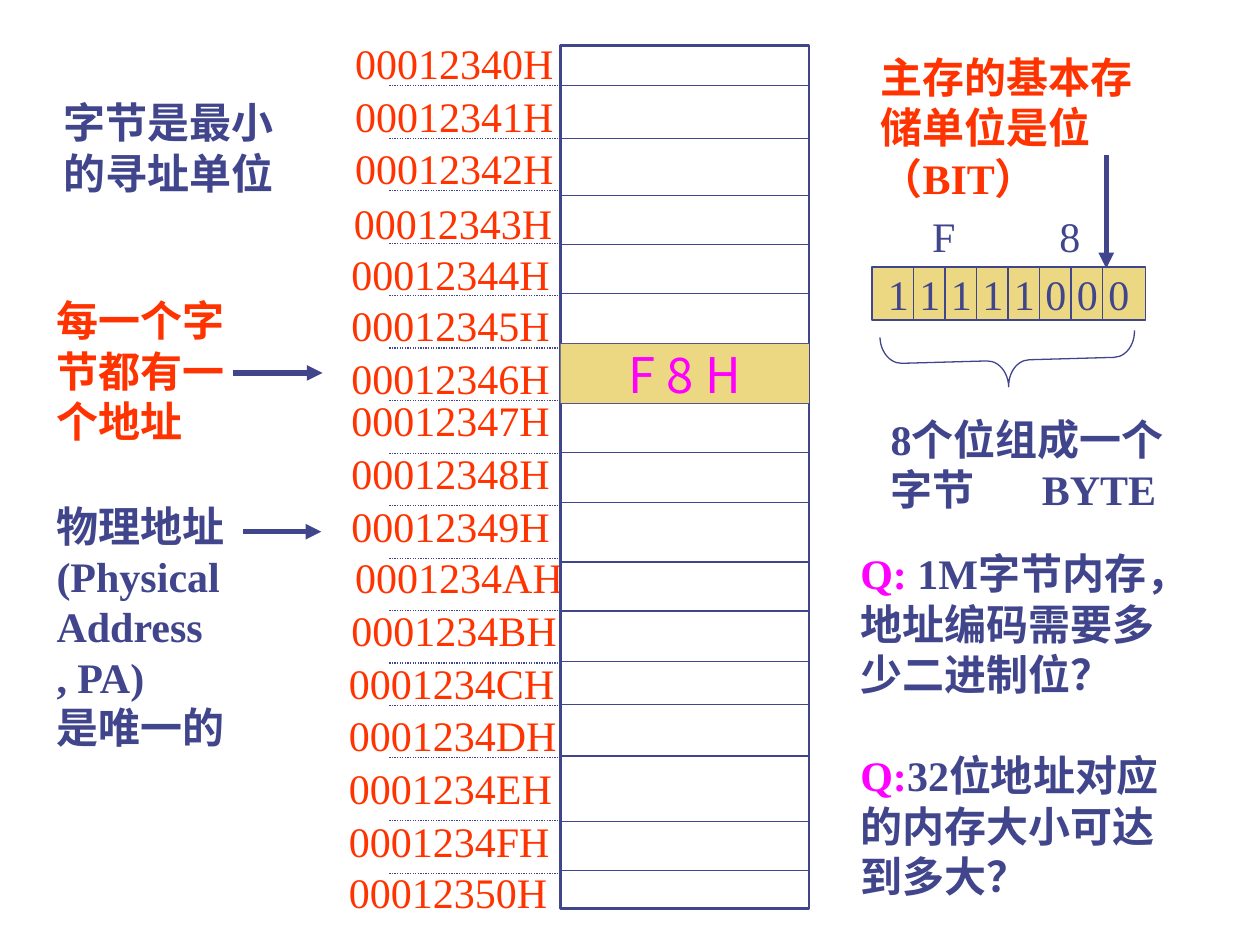
"""Build a slide on memory addresses, bytes and bits."""
from lxml import etree
from pptx import Presentation
from pptx.dml.color import RGBColor
from pptx.enum.dml import MSO_LINE
from pptx.enum.shapes import MSO_CONNECTOR, MSO_SHAPE
from pptx.enum.text import MSO_ANCHOR, PP_ALIGN
from pptx.oxml.ns import qn
from pptx.util import Inches, Pt

DOTTED = MSO_LINE.ROUND_DOT
STRAIGHT = MSO_CONNECTOR.STRAIGHT
RECTANGLE, BRACE = MSO_SHAPE.RECTANGLE, MSO_SHAPE.LEFT_BRACE
MIDDLE, CENTER = MSO_ANCHOR.MIDDLE, PP_ALIGN.CENTER

COLORS = {"ink": "40458C", "red": "FF3300", "pink": "FF00FF", "sand": "ECD882"}
LATIN, ASIAN = "Times New Roman", "Noto Sans CJK JP"

ADDRESSES = [
    ("00012340H", 2.72, 0.25), ("00012341H", 2.72, 0.67), ("00012342H", 2.72, 1.08),
    ("00012343H", 2.71, 1.52), ("00012344H", 2.69, 1.92), ("00012345H", 2.69, 2.33),
    ("00012346H", 2.69, 2.75), ("00012347H", 2.69, 3.08), ("00012348H", 2.69, 3.5),
    ("00012349H", 2.69, 3.92), ("0001234AH", 2.72, 4.33), ("0001234BH", 2.69, 4.75),
    ("0001234CH", 2.67, 5.17), ("0001234DH", 2.67, 5.58), ("0001234EH", 2.67, 6),
    ("0001234FH", 2.67, 6.42), ("00012350H", 2.67, 6.83),
]
ADDRESS_LINES = [0.68 + row * 5 / 12 for row in range(12)] + [5.6, 6.01, 6.51, 6.93]
CELL_LINES = [0.68, 1.1, 1.55, 1.94, 2.33, 2.73, 3.2, 3.59, 3.99, 4.46, 4.85,
              5.25, 5.59, 6, 6.52, 6.91]
MEMORY = (4.45, 0.36, 1.97, 6.85)
STORED_BYTE = (4.45, 2.73, 1.97, 0.47)
BITS = (6.92, 2.12, 2.17, 0.42)
HEX_DIGITS = [("F", 7.3), ("8", 8.31)]
NOTES = [
    ((6.89, 0.36, 2.52, 1.3), [[("主存的基本存储单位是位（BIT）", "red")]]),
    ((6.97, 3.23, 2.52, 0.9), [[("8个位组成一个字节\tBYTE", "ink")]]),
    ((0.35, 2.29, 1.65, 1.3), [[("每一个字节都有一个地址", "red")]]),
    ((0.35, 3.92, 1.89, 2.1), [[(line, "ink")] for line in
                               ("物理地址", "(Physical", "Address", ", PA)", "是唯一的")]),
    ((0.41, 0.72, 2.07, 0.9), [[("字节是最小的寻址单位", "ink")]]),
    ((6.73, 4.3, 2.84, 2.9), [
        [("Q:", "pink"), (" 1M字节内存，地址编码需要多少二进制位？", "ink")],
        [("Q:", "pink"), ("32位地址对应的内存大小可达到多大？", "ink")]]),
]
QUESTION_GAP = 29
BYTE_TAB = 1.2
ARROWS = [(8.78, 1.23, 8.78, 2.13), (1.85, 2.96, 2.56, 2.96), (1.93, 4.22, 2.55, 4.22)]


def color(name):
    return RGBColor.from_string(COLORS[name])


def add_run(paragraph, text, color_name, **formats):
    run = paragraph.add_run()
    run.text = text
    for name, value in {"size": Pt(24), "name": LATIN, **formats}.items():
        setattr(run.font, name, value)
    run.font.color.rgb = color(color_name)
    etree.SubElement(run.font._element, qn("a:ea"), typeface=ASIAN)


def add_text(slide, box, paragraphs, wrap=True, gap=0, **formats):
    frame = slide.shapes.add_textbox(*map(Inches, box)).text_frame
    frame.word_wrap = wrap
    for index, runs in enumerate(paragraphs):
        paragraph = frame.add_paragraph() if index else frame.paragraphs[0]
        if index and gap:
            paragraph.space_before = Pt(gap)
        if any("\t" in text for text, _ in runs):
            tabs = etree.SubElement(paragraph._p.get_or_add_pPr(), qn("a:tabLst"))
            etree.SubElement(tabs, qn("a:tab"), pos=str(Inches(BYTE_TAB)), algn="l")
        for text, color_name in runs:
            add_run(paragraph, text, color_name, **formats)


def add_line(slide, points, width=0.75, dash=None, arrow=False):
    connector = slide.shapes.add_connector(STRAIGHT, *map(Inches, points))
    connector.line.color.rgb = color("ink")
    connector.line.width = Pt(width)
    if dash:
        connector.line.dash_style = dash
    properties = connector._element.spPr
    if arrow:
        etree.SubElement(properties.find(qn("a:ln")), qn("a:tailEnd"), type="triangle")
    etree.SubElement(properties, qn("a:effectLst"))


def add_shape(slide, preset, box, fill=None, width=None):
    shape = slide.shapes.add_shape(preset, *map(Inches, box))
    shape.shadow.inherit = False
    if fill:
        shape.fill.solid()
        shape.fill.fore_color.rgb = color(fill)
    else:
        shape.fill.background()
    if width:
        shape.line.color.rgb = color("ink")
        shape.line.width = Pt(width)
    else:
        shape.line.fill.background()
    return shape


def add_label(shape, text, color_name, **formats):
    frame = shape.text_frame
    frame.word_wrap = False
    frame.vertical_anchor = MIDDLE
    for side in ("left", "top", "right", "bottom"):
        setattr(frame, f"margin_{side}", 0)
    frame.paragraphs[0].alignment = CENTER
    add_run(frame.paragraphs[0], text, color_name, **formats)


def main():
    presentation = Presentation()
    presentation.slide_width, presentation.slide_height = Inches(10), Inches(7.5)
    slide = presentation.slides.add_slide(presentation.slide_layouts[6])

    for address, left, top in ADDRESSES:
        add_text(slide, (left, top, 1.95, 0.5), [[(address, "red")]])
    for y in ADDRESS_LINES:
        add_line(slide, (3.09, y, 4.45, y), dash=DOTTED)

    left, top, width, height = BITS
    bits = add_shape(slide, RECTANGLE, BITS, "sand", 0.75)
    add_label(bits, "1 1 1 1 1 0 0 0", "ink")
    for index in range(7):
        x = 7.25 + index * 0.25
        add_line(slide, (x, top, x, top + height))
    for digit, x in HEX_DIGITS:
        add_text(slide, (x, 1.62, 0.4, 0.5), [[(digit, "ink")]], wrap=False)
    brace = add_shape(slide, BRACE, (7.79, 1.85, 0.42, 2.02), width=0.75)
    brace.rotation = 268.4
    brace.adjustments[0] = 0.4

    for box, paragraphs in NOTES:
        add_text(slide, box, paragraphs, bold=True,
                 gap=QUESTION_GAP if paragraphs[0][0][0] == "Q:" else 0)
    for points in ARROWS:
        add_line(slide, points, width=3, arrow=True)

    left, top, width, height = MEMORY
    for y in CELL_LINES:
        add_line(slide, (left, y, left + width, y))
    add_shape(slide, RECTANGLE, MEMORY, width=1.5)
    stored_byte = add_shape(slide, RECTANGLE, STORED_BYTE, "sand")
    add_label(stored_byte, "F 8 H", "pink", size=Pt(28), name=ASIAN)

    presentation.save("out.pptx")


if __name__ == "__main__":
    main()
